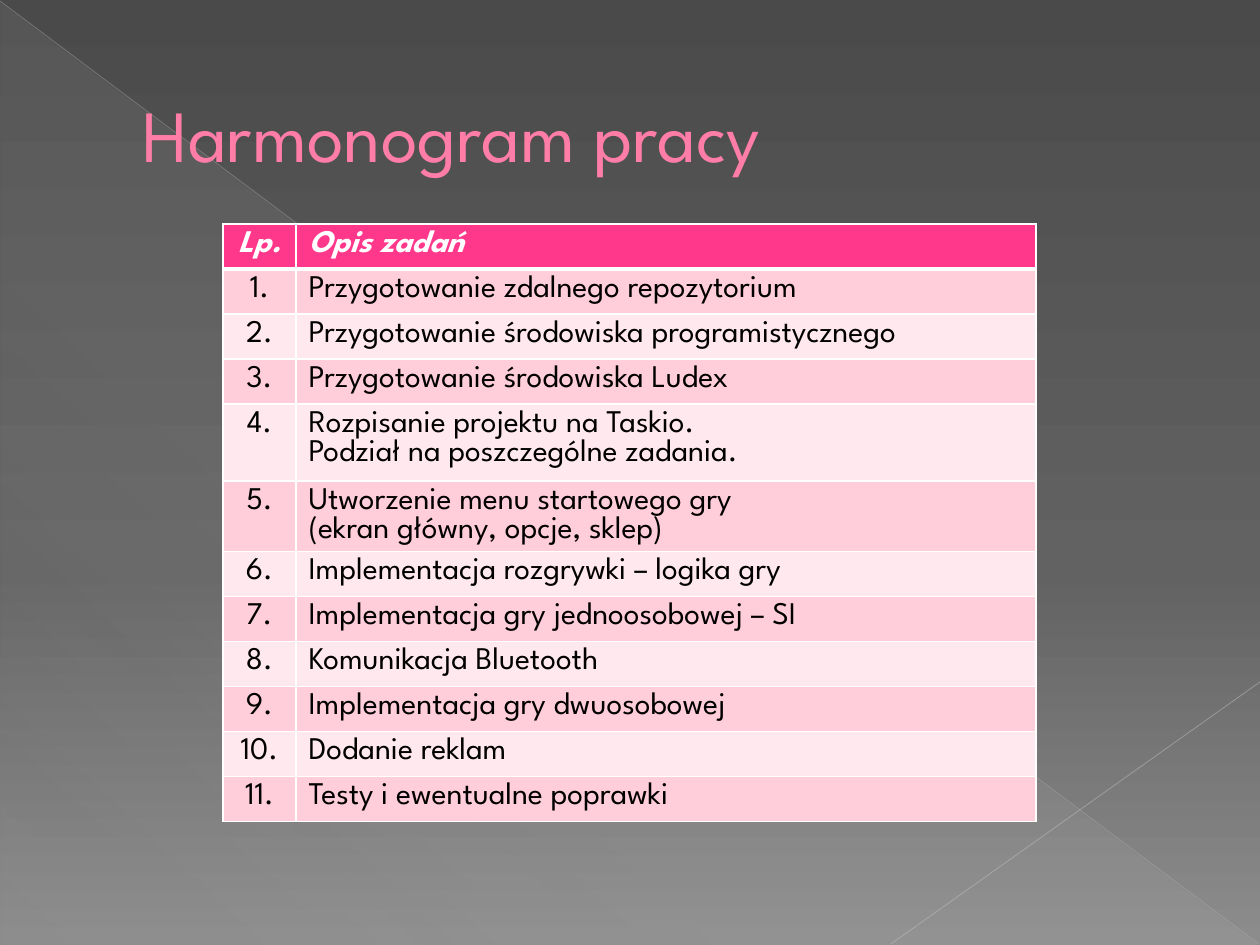
"""Build the work schedule slide with its table of tasks."""
from lxml import etree
from pptx import Presentation
from pptx.dml.color import RGBColor
from pptx.enum.shapes import MSO_CONNECTOR, MSO_SHAPE
from pptx.enum.text import MSO_ANCHOR, PP_ALIGN
from pptx.oxml.ns import qn
from pptx.util import Pt

LEFT, CENTER = PP_ALIGN.LEFT, PP_ALIGN.CENTER
MIDDLE = MSO_ANCHOR.MIDDLE
STRAIGHT = MSO_CONNECTOR.STRAIGHT
TRIANGLE = MSO_SHAPE.RIGHT_TRIANGLE
TITLE_ONLY = 5

PX = 914400 // 126
FONT = "League Spartan"
COLORS = {
    "title": "FF7DA7", "title_line": "B12761", "header": "FF388C",
    "odd": "FFCEDA", "even": "FFE8EE", "white": "FFFFFF", "black": "000000",
    "sheen": "D2D2D2", "long_line": "BFBFBF", "short_line": "C6C6C6",
    "bg_top": "4A4A4A", "bg_mid": "626262", "bg_bottom": "8C8C8C",
}
TASKS = [
    "Przygotowanie zdalnego repozytorium",
    "Przygotowanie środowiska programistycznego",
    "Przygotowanie środowiska Ludex",
    "Rozpisanie projektu na Taskio.\nPodział na poszczególne zadania.",
    "Utworzenie menu startowego gry\n(ekran główny, opcje, sklep)",
    "Implementacja rozgrywki – logika gry",
    "Implementacja gry jednoosobowej – SI",
    "Komunikacja Bluetooth",
    "Implementacja gry dwuosobowej",
    "Dodanie reklam",
    "Testy i ewentualne poprawki",
]
ROW_HEIGHT = 45
TALL_ROWS = {4: 77, 5: 70}
COLUMN_WIDTHS = (73, 740)


def px(*values):
    return [round(v * PX) for v in values]


def rgb(name):
    return RGBColor.from_string(COLORS[name])


def add_color(parent, name, alpha=100):
    clr = etree.SubElement(parent, qn("a:srgbClr"), val=COLORS[name])
    if alpha < 100:
        etree.SubElement(clr, qn("a:alpha"), val=str(alpha * 1000))


def make_line(tag, name, width):
    ln = etree.Element(qn(tag), w=str(Pt(width)))
    add_color(etree.SubElement(ln, qn("a:solidFill")), name)
    return ln


def set_gradient(parent, stops, angle):
    grad = etree.Element(qn("a:gradFill"), rotWithShape="1")
    gs_list = etree.SubElement(grad, qn("a:gsLst"))
    for pos, name, alpha in stops:
        gs = etree.SubElement(gs_list, qn("a:gs"), pos=str(pos * 1000))
        add_color(gs, name, alpha)
    etree.SubElement(grad, qn("a:lin"), ang=str(angle * 60000), scaled="0")
    parent.replace(parent.find(qn("a:solidFill")), grad)


def write_text(tf, text, size=18, color="black", align=LEFT, bold=False, italic=False):
    for i, line in enumerate(text.split("\n")):
        p = tf.add_paragraph() if i else tf.paragraphs[0]
        p.alignment = align
        r = p.add_run()
        r.text = line
        r.font.name, r.font.size = FONT, Pt(size)
        r.font.bold, r.font.italic = bold, italic
        r.font.color.rgb = rgb(color)


def add_background(slide):
    slide.background.fill.solid()
    bg_pr = slide._element.find(".//" + qn("p:bgPr"))
    stops = [(0, "bg_top", 100), (60, "bg_mid", 100), (100, "bg_bottom", 100)]
    set_gradient(bg_pr, stops, 90)


def add_sheen(slide):
    sp = slide.shapes.add_shape(TRIANGLE, *px(1, 2, 1258, 943))
    sp.shadow.inherit = False
    sp.line.fill.background()
    sp.fill.solid()
    stops = [(0, "sheen", 10), (70, "sheen", 8), (100, "sheen", 1)]
    set_gradient(sp._element.spPr, stops, 133)


def add_line(slide, ends, color, width, alpha):
    line = slide.shapes.add_connector(STRAIGHT, *px(*ends))
    line.line.width = Pt(width)
    line.line.color.rgb = rgb(color)
    sp_pr = line._element.spPr
    clr = sp_pr.find(".//" + qn("a:srgbClr"))
    etree.SubElement(clr, qn("a:alpha"), val=str(alpha * 1000))
    etree.SubElement(sp_pr, qn("a:effectLst"))


def add_title(slide, text):
    title = slide.shapes.title
    title.left, title.top, title.width, title.height = px(63, 37, 1134, 193)
    tf = title.text_frame
    tf.vertical_anchor = MIDDLE
    write_text(tf, text, size=42, color="title")
    p = tf.paragraphs[0]
    p._p.get_or_add_pPr().set("marL", str(67 * PX))
    p.runs[0]._r.get_or_add_rPr().insert(0, make_line("a:ln", "title_line", 0.5))
    slide.shapes._spTree.append(title._element)


def format_cell(cell, fill, top=1, bottom=1):
    cell.fill.solid()
    cell.fill.fore_color.rgb = rgb(fill)
    sides = (("L", 1), ("R", 1), ("T", top), ("B", bottom))
    for i, (side, width) in enumerate(sides):
        line = make_line("a:ln" + side, "white", width)
        cell._tc.get_or_add_tcPr().insert(i, line)


def add_schedule(slide):
    heights = [TALL_ROWS.get(i, ROW_HEIGHT) for i in range(len(TASKS) + 1)]
    frame = slide.shapes.add_table(len(heights), len(COLUMN_WIDTHS),
                                   *px(223, 224, sum(COLUMN_WIDTHS), sum(heights)))
    table = frame.table
    for column, width in zip(table.columns, COLUMN_WIDTHS):
        column.width = width * PX
    rows = [("Lp.", "Opis zadań")]
    rows += [(f"{n}.", task) for n, task in enumerate(TASKS, 1)]
    for i, texts in enumerate(rows):
        table.rows[i].height = heights[i] * PX
        header = i == 0
        fill = "header" if header else "odd" if i % 2 else "even"
        for j, text in enumerate(texts):
            cell = table.cell(i, j)
            format_cell(cell, fill, top=3 if i == 1 else 1, bottom=3 if header else 1)
            write_text(cell.text_frame, text, color="white" if header else "black",
                       align=LEFT if j else CENTER, bold=header, italic=header)


def main():
    prs = Presentation()
    prs.slide_width, prs.slide_height = px(1260, 945)
    slide = prs.slides.add_slide(prs.slide_layouts[TITLE_ONLY])
    add_background(slide)
    add_sheen(slide)
    add_line(slide, (0, 1, 1259, 944), "long_line", 0.39, 35)
    add_line(slide, (1260, 682, 891, 944), "short_line", 0.47, 45)
    add_title(slide, "Harmonogram pracy")
    add_schedule(slide)
    prs.save("out.pptx")


main()
